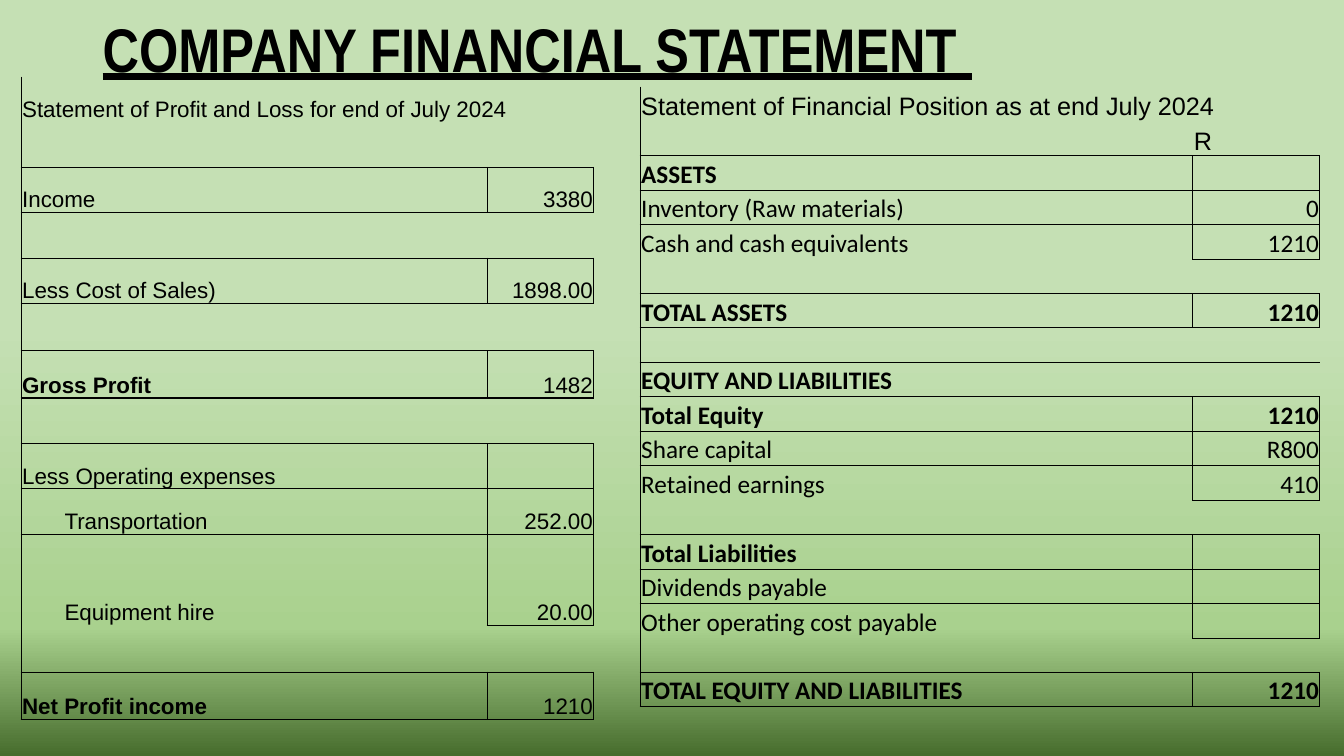
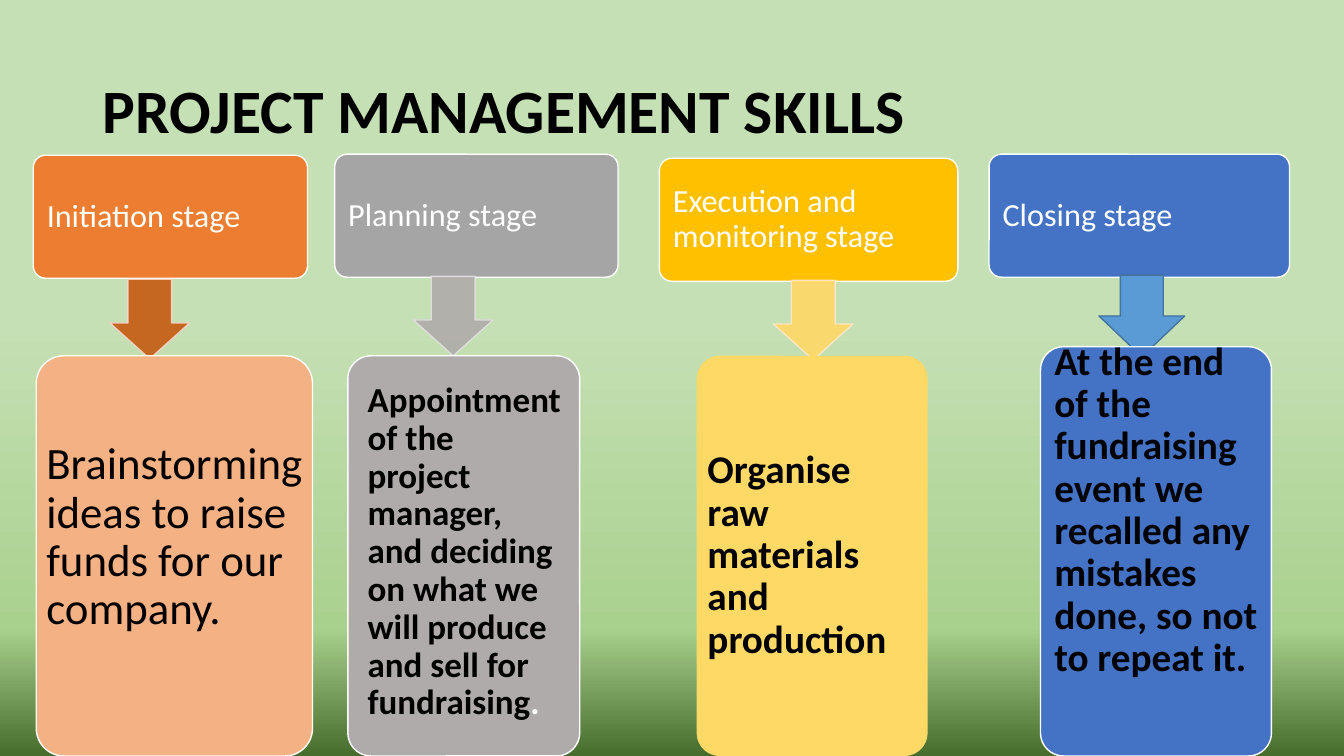
import dataclasses

import lxml.etree
import pptx
import pptx.dml.color
import pptx.enum.shapes
import pptx.enum.text
import pptx.oxml
import pptx.oxml.ns
import pptx.util

Inches = pptx.util.Inches
Pt = pptx.util.Pt
qn = pptx.oxml.ns.qn
Anchor = pptx.enum.text.MSO_ANCHOR
Align = pptx.enum.text.PP_ALIGN
Shape = pptx.enum.shapes.MSO_SHAPE


@dataclasses.dataclass(frozen=True)
class Theme:
    ink: str = "000000"
    white: str = "FFFFFF"
    backdrop: tuple = ((0, "476D2D"), (17, "A9D18E"), (57, "C5E0B4"))
    body_font: str = "Calibri"
    table_font: str = "Arial"
    title_size: int = 44
    stage_size: int = 23
    line_spacing: float = 0.9
    thin: float = 0.5
    thick: float = 1


THEME = Theme()
NO_GRID_STYLE = "{2D5ABB26-0587-4C30-8999-92F81FD0307C}"
EDGES = {
    "open": ("l", ""),
    "box": ("lrtb", "lrtb"),
    "heavy": ("lrtb", "lrtb"),
    "item": ("lr", "lr"),
    "last": ("lr", "lrb"),
}
BLANK = ("", "", "open", "")

PROFIT_AND_LOSS = dict(
    left=0.21, top=0.76, widths=(4.62, 1.06), row_height=0.45, heavy_height=0.47,
    size=16, font=THEME.table_font, indent=0.43,
    heading="Statement of Profit and Loss for end of July 2024",
    rows=[
        BLANK,
        ("Income", "3380", "box", ""),
        BLANK,
        ("Less Cost of Sales)", "1898.00", "box", ""),
        BLANK,
        ("Gross Profit", "1482", "heavy", "label"),
        BLANK,
        ("Less Operating expenses", "", "box", ""),
        ("Transportation", "252.00", "item", ""),
        ("", "", "item", ""),
        ("Equipment hire", "20.00", "last", ""),
        BLANK,
        ("Net Profit income", "1210", "heavy", "label"),
    ])

FINANCIAL_POSITION = dict(
    left=6.35, top=0.86, widths=(5.48, 1.26), row_height=0.342, heavy_height=0.342,
    size=18, font=THEME.body_font, indent=0.01,
    heading="Statement of Financial Position as at end July 2024",
    rows=[
        ("", "R", "open", ""),
        ("ASSETS", "", "box", "row"),
        ("Inventory (Raw materials)", "0", "item", ""),
        ("Cash and cash equivalents", "1210", "last", ""),
        BLANK,
        ("TOTAL ASSETS", "1210", "box", "row"),
        BLANK,
        ("EQUITY AND LIABILITIES", "", "open", "row"),
        ("Total Equity", "1210", "box", "row"),
        ("Share capital", "R800", "item", ""),
        ("Retained earnings", "410", "last", ""),
        BLANK,
        ("Total Liabilities", "", "box", "row"),
        ("Dividends payable", "", "item", ""),
        ("Other operating cost payable", "", "last", ""),
        BLANK,
        ("TOTAL EQUITY AND LIABILITIES", "1210", "box", "row"),
    ])

STAGES = [
    dict(name="Initiation stage", head=(0.33, 1.54, 2.72, 1.22), color="ED7D31",
         arrow=(1.09, 2.77, 0.79, 0.79), arrow_color="C55A11", arrow_line="F8D7CE",
         card=(0.36, 3.53, 2.74, 3.97), card_color="F4B183", card_line=THEME.white,
         text=["Brainstorming ideas to raise funds for our company."],
         size=32, bold=False, insets=(0.02, 0, 0, 0.36)),
    dict(name="Planning stage", head=(3.32, 1.53, 2.81, 1.22), color="A5A5A5",
         arrow=(4.1, 2.74, 0.79, 0.79), arrow_color="AFABAB", arrow_line="E1E1E1",
         card=(3.45, 3.53, 2.3, 3.97), card_color="AFABAB", card_line=THEME.white,
         text=["Appointment of the project manager, and deciding on what we will "
               "produce and sell for fundraising", "."],
         size=25, bold=True, insets=(0.13, 0, 0.1, 0.07)),
    dict(name="Execution and monitoring stage", head=(6.54, 1.57, 2.96, 1.22),
         color="FFC000",
         arrow=(7.67, 2.78, 0.79, 0.79), arrow_color="FFD966", arrow_line="FFE8CC",
         card=(6.91, 3.53, 2.29, 3.97), card_color="FFD966", card_line=None,
         text=["Organise raw materials and production"],
         size=28, bold=True, insets=(0.04, 0, 0.1, 0)),
    dict(name="Closing stage", head=(9.81, 1.53, 2.98, 1.22), color="4472C4",
         arrow=(10.9, 2.73, 0.85, 0.81), arrow_color="5B9BD5", arrow_line="43739E",
         arrow_adj=(0.5, 0.5), arrow_alpha=100,
         card=(10.32, 3.44, 2.29, 4.06), card_color="4472C4", card_line=THEME.white,
         text=["At the end of the fundraising event we recalled any mistakes done, "
               "so not to repeat it."],
         size=28, bold=True, insets=(0.07, 0, 0.04, 0.81)),
]


def rgb(color):
    return pptx.dml.color.RGBColor.from_string(color)


def style_run(r, size, color=THEME.ink, font=THEME.body_font, bold=False):
    r.font.size = Pt(size)
    r.font.name = font
    r.font.bold = bold
    r.font.color.rgb = rgb(color)


def set_backdrop(master):
    fill = master.background.fill
    fill.gradient()
    grad = master.element.find(".//" + qn("a:gradFill"))
    stops = grad.find(qn("a:gsLst"))
    for stop in list(stops):
        stops.remove(stop)
    for position, color in THEME.backdrop:
        gs = lxml.etree.SubElement(stops, qn("a:gs"), pos=str(position * 1000))
        lxml.etree.SubElement(gs, qn("a:srgbClr"), val=color)
    lin = grad.find(qn("a:lin"))
    lin.set("ang", str(270 * 60000))
    lin.set("scaled", "0")


def add_title(s, text, top, height, font=THEME.body_font, underline=False):
    sp = s.shapes.add_textbox(Inches(0.92), Inches(top), Inches(11.5), Inches(height))
    tf = sp.text_frame
    tf.word_wrap = True
    tf.vertical_anchor = Anchor.MIDDLE
    tf.text = text
    p = tf.paragraphs[0]
    p.line_spacing = THEME.line_spacing
    style_run(p.runs[0], THEME.title_size, font=font, bold=True)
    p.runs[0].font.underline = underline


def set_borders(cell, edges, widths):
    tc_pr = cell._tc.get_or_add_tcPr()
    for i, edge in enumerate(e for e in "lrtb" if e in edges):
        ln = pptx.oxml.parse_xml(
            '<a:ln%s xmlns:a="http://schemas.openxmlformats.org/drawingml/2006/main" w="%d">'
            '<a:solidFill><a:srgbClr val="%s"/></a:solidFill></a:ln%s>'
            % (edge.upper(), Pt(widths[edge]), THEME.ink, edge.upper()))
        tc_pr.insert(i, ln)


def fill_cell(cell, text, size, font, bold=False, align=Align.LEFT, indent=0.01):
    cell.fill.background()
    cell.vertical_anchor = Anchor.BOTTOM
    cell.margin_left = Inches(indent)
    cell.margin_right = cell.margin_top = Inches(0.01)
    cell.margin_bottom = 0
    if text:
        cell.text_frame.text = text
        p = cell.text_frame.paragraphs[0]
        p.alignment = align
        style_run(p.runs[0], size, font=font, bold=bold)


def add_statement(s, left, top, widths, row_height, heavy_height, size, font, indent,
                  heading, rows):
    rows = [(heading, "", "open", "")] + rows
    kinds = [row[2] for row in rows]
    heights = [heavy_height if "heavy" in kinds[i:i + 2] else row_height
               for i in range(len(rows))]
    frame = s.shapes.add_table(len(rows), 2, Inches(left), Inches(top),
                               Inches(sum(widths)), Inches(sum(heights)))
    table = frame.table
    frame._element.find(".//" + qn("a:tableStyleId")).text = NO_GRID_STYLE
    table.first_row = table.horz_banding = False
    for column, width in zip(table.columns, widths):
        column.width = Inches(width)
    for i, (label, value, kind, bold) in enumerate(rows):
        table.rows[i].height = Inches(heights[i])
        label_font = THEME.table_font if i == 0 else font
        value_font = THEME.table_font if value == "R" else font
        fill_cell(table.cell(i, 0), label, size, label_font, bool(bold),
                  indent=indent if kind in ("item", "last") else 0.01)
        fill_cell(table.cell(i, 1), value, size, value_font, bold == "row",
                  Align.LEFT if value == "R" else Align.RIGHT)
        above = kinds[i - 1] if i else "open"
        below = kinds[i + 1] if i + 1 < len(kinds) else "open"
        for j in range(2):
            edges = set(EDGES[kind][j])
            if "b" in EDGES[above][j]:
                edges.add("t")
            if "t" in EDGES[below][j]:
                edges.add("b")
            set_borders(table.cell(i, j), edges, {
                "l": THEME.thin if j else THEME.thick,
                "r": THEME.thin,
                "t": THEME.thick if "heavy" in (kind, above) else THEME.thin,
                "b": THEME.thick if "heavy" in (kind, below) else THEME.thin,
            })
    table.cell(0, 0).merge(table.cell(0, 1))


def add_block(s, preset, box, color, line, adjustments, alpha=100):
    sp = s.shapes.add_shape(preset, *map(Inches, box))
    sp.shadow.inherit = False
    for i, value in enumerate(adjustments):
        sp.adjustments[i] = value
    sp.fill.solid()
    sp.fill.fore_color.rgb = rgb(color)
    if line:
        sp.line.color.rgb = rgb(line)
        sp.line.width = Pt(1)
    else:
        sp.line.fill.background()
    if alpha < 100:
        for clr in sp._element.spPr.iter(qn("a:srgbClr")):
            lxml.etree.SubElement(clr, qn("a:alpha"), val=str(alpha * 1000))
    return sp


def write_block(sp, texts, size, colors, bold=False, insets=(0.1, 0.1, 0.1, 0.1)):
    tf = sp.text_frame
    tf.word_wrap = True
    tf.vertical_anchor = Anchor.MIDDLE
    tf.margin_left, tf.margin_top, tf.margin_right, tf.margin_bottom = map(Inches, insets)
    p = tf.paragraphs[0]
    p.alignment = Align.LEFT
    p.line_spacing = THEME.line_spacing
    for text, color in zip(texts, colors):
        r = p.add_run()
        r.text = text
        style_run(r, size, color, bold=bold)


def add_stage(s, stage):
    head = add_block(s, Shape.ROUNDED_RECTANGLE, stage["head"], stage["color"],
                     THEME.white, (0.1,))
    write_block(head, [stage["name"]], THEME.stage_size, [THEME.white])
    add_block(s, Shape.DOWN_ARROW, stage["arrow"], stage["arrow_color"],
              stage["arrow_line"], stage.get("arrow_adj", (0.55, 0.45)),
              stage.get("arrow_alpha", 90))
    card = add_block(s, Shape.ROUNDED_RECTANGLE, stage["card"], stage["card_color"],
                     stage["card_line"], (0.1,))
    write_block(card, stage["text"], stage["size"], (THEME.ink, THEME.white),
                stage["bold"], stage["insets"])


def main():
    prs = pptx.Presentation()
    prs.slide_width, prs.slide_height = Inches(13.33), Inches(7.5)
    set_backdrop(prs.slide_master)
    blank = prs.slide_layouts[6]

    s = prs.slides.add_slide(blank)
    add_title(s, "COMPANY FINANCIAL STATEMENT ", 0, 1.05, "Arial Narrow", True)
    for statement in (PROFIT_AND_LOSS, FINANCIAL_POSITION):
        add_statement(s, **statement)

    s = prs.slides.add_slide(blank)
    add_title(s, "PROJECT MANAGEMENT SKILLS", 0.4, 1.45)
    for stage in STAGES:
        add_stage(s, stage)

    prs.save("out.pptx")


if __name__ == "__main__":
    main()
